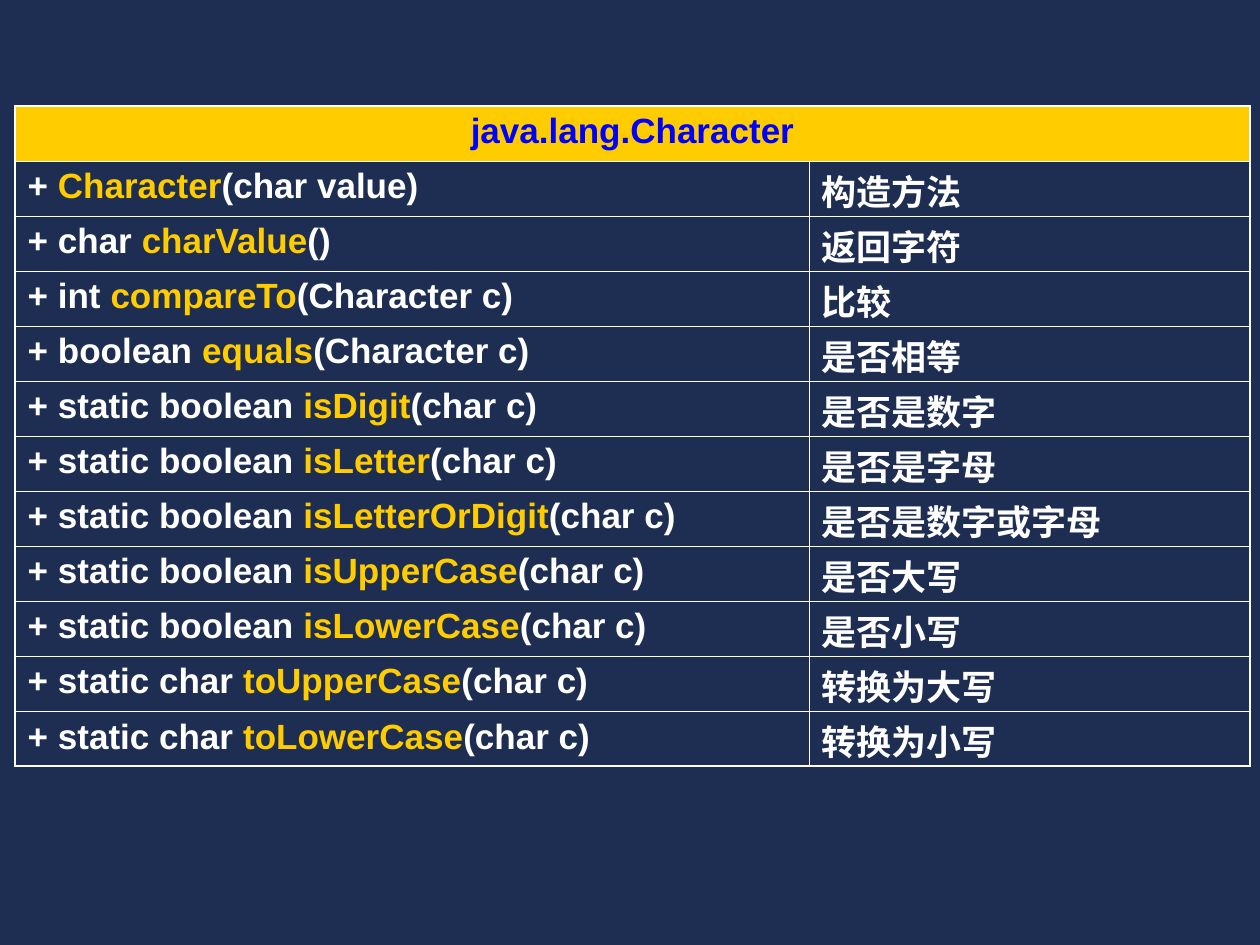
"""Build a slide with a table of java.lang.Character methods."""
from dataclasses import dataclass
from typing import NamedTuple, Optional

from lxml.etree import SubElement
from pptx import Presentation
from pptx.dml.color import RGBColor
from pptx.enum.text import PP_ALIGN
from pptx.oxml.ns import qn
from pptx.util import Inches, Pt


@dataclass(frozen=True)
class Theme:
    background: str = "1E2E53"
    text: str = "FFFFFF"
    accent: str = "FFCC00"
    heading: str = "0000FF"
    border: str = "FFFFFF"
    font: str = "Arial"
    size: float = 20
    outer_line: float = 1.08
    inner_line: float = 0.45


class Method(NamedTuple):
    prefix: str
    name: str
    arguments: str
    purpose: str


class Span(NamedTuple):
    text: str
    color: str


THEME = Theme()
TITLE = "java.lang.Character"
METHODS = [
    Method("+ ", "Character", "(char value)", "构造方法"),
    Method("+ char ", "charValue", "()", "返回字符"),
    Method("+ int ", "compareTo", "(Character c)", "比较"),
    Method("+ boolean ", "equals", "(Character c)", "是否相等"),
    Method("+ static boolean ", "isDigit", "(char c)", "是否是数字"),
    Method("+ static boolean ", "isLetter", "(char c)", "是否是字母"),
    Method("+ static boolean ", "isLetterOrDigit", "(char c)", "是否是数字或字母"),
    Method("+ static boolean ", "isUpperCase", "(char c)", "是否大写"),
    Method("+ static boolean ", "isLowerCase", "(char c)", "是否小写"),
    Method("+ static char ", "toUpperCase", "(char c)", "转换为大写"),
    Method("+ static char ", "toLowerCase", "(char c)", "转换为小写"),
]
COLUMN_WIDTHS = (6.3, 3.5)
TABLE_HEIGHT = 5.24
PURPOSE_MARGINS = {"margin_top": Inches(0.03), "margin_bottom": Inches(0)}


def write_cell(cell, spans: list[Span], alignment: PP_ALIGN = PP_ALIGN.LEFT) -> None:
    paragraph = cell.text_frame.paragraphs[0]
    paragraph.alignment = alignment
    formats = {"name": THEME.font, "size": Pt(THEME.size), "bold": True}
    for span in spans:
        run = paragraph.add_run()
        run.text = span.text
        for attribute, value in formats.items():
            setattr(run.font, attribute, value)
        run.font.color.rgb = RGBColor.from_string(span.color)


def draw_borders(cell, outer_edges: dict[str, bool]) -> None:
    properties = cell._tc.get_or_add_tcPr()
    for edge, is_outer in outer_edges.items():
        width = THEME.outer_line if is_outer else THEME.inner_line
        line = SubElement(properties, qn(f"a:ln{edge}"), w=str(Pt(width)))
        fill = SubElement(line, qn("a:solidFill"))
        SubElement(fill, qn("a:srgbClr"), val=THEME.border)


def fill_cell(cell, color: Optional[str]) -> None:
    if color is None:
        cell.fill.background()
    else:
        cell.fill.solid()
        cell.fill.fore_color.rgb = RGBColor.from_string(color)


def add_method_table(page) -> None:
    row_count = len(METHODS) + 1
    frame = page.shapes.add_table(
        row_count, len(COLUMN_WIDTHS), Inches(0.12), Inches(0.84),
        Inches(sum(COLUMN_WIDTHS)), Inches(TABLE_HEIGHT),
    )
    table = frame.table
    for column, width in zip(table.columns, COLUMN_WIDTHS):
        column.width = Inches(width)
    for row_index, row in enumerate(table.rows):
        row.height = Inches(TABLE_HEIGHT / row_count)
        is_header = row_index == 0
        for column_index, cell in enumerate(row.cells):
            draw_borders(cell, {
                "L": is_header or column_index == 0,
                "R": is_header or column_index == len(COLUMN_WIDTHS) - 1,
                "T": is_header,
                "B": row_index == row_count - 1,
            })
            fill_cell(cell, THEME.accent if is_header else None)

    header = table.cell(0, 0)
    header.merge(table.cell(0, len(COLUMN_WIDTHS) - 1))
    write_cell(header, [Span(TITLE, THEME.heading)], PP_ALIGN.CENTER)
    for row_index, method in enumerate(METHODS, start=1):
        write_cell(table.cell(row_index, 0), [
            Span(method.prefix, THEME.text),
            Span(method.name, THEME.accent),
            Span(method.arguments, THEME.text),
        ])
        purpose = table.cell(row_index, 1)
        for attribute, value in PURPOSE_MARGINS.items():
            setattr(purpose, attribute, value)
        write_cell(purpose, [Span(method.purpose, THEME.text)])


def main() -> None:
    deck = Presentation()
    deck.slide_width, deck.slide_height = Inches(10), Inches(7.5)
    page = deck.slides.add_slide(deck.slide_layouts[6])
    page.background.fill.solid()
    page.background.fill.fore_color.rgb = RGBColor.from_string(THEME.background)
    add_method_table(page)
    deck.save("out.pptx")


if __name__ == "__main__":
    main()
